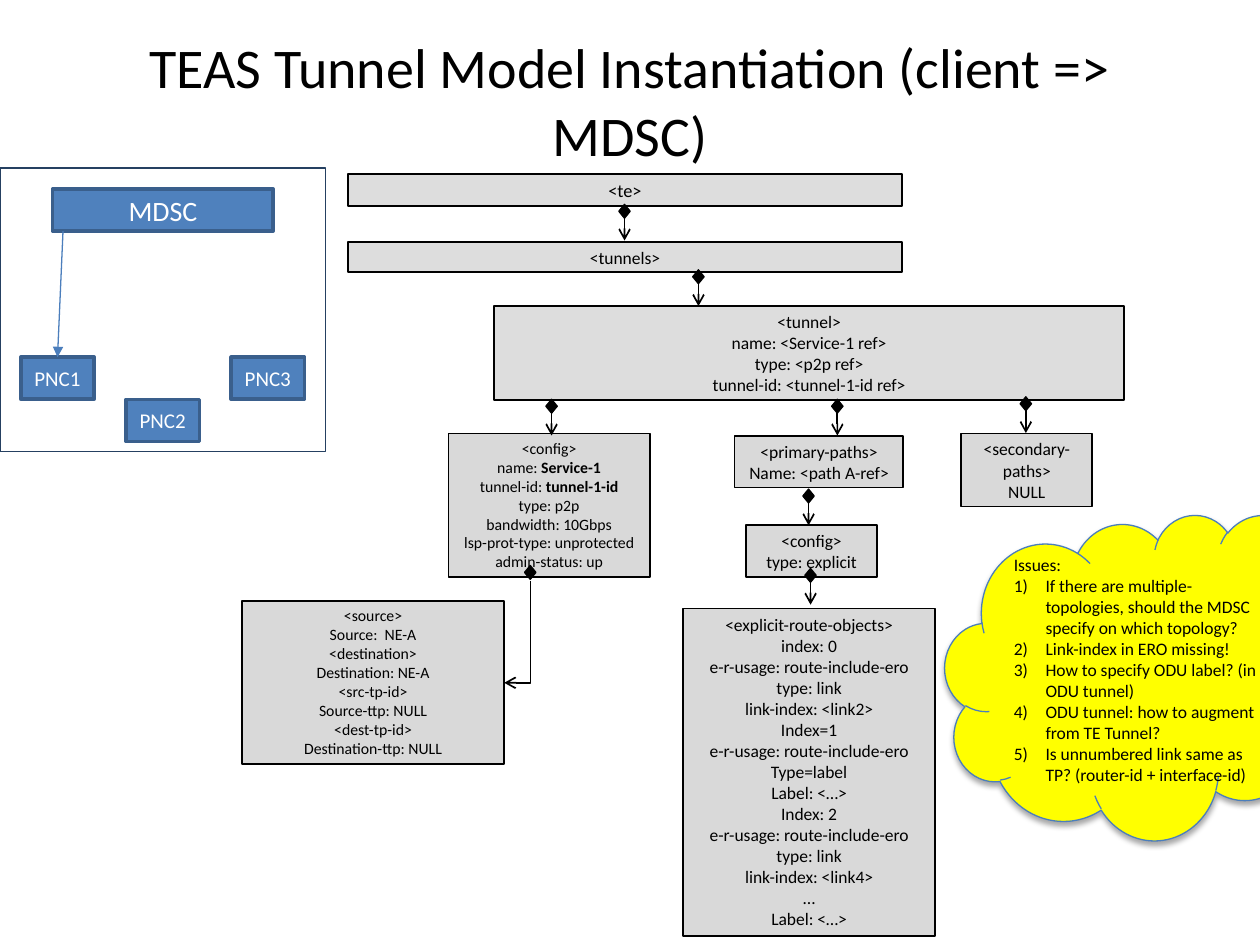
from dataclasses import dataclass

from lxml.etree import SubElement
from pptx import Presentation
from pptx.dml.color import RGBColor
from pptx.enum.shapes import MSO_CONNECTOR as Link, MSO_SHAPE as Preset
from pptx.enum.text import MSO_ANCHOR as Anchor, MSO_AUTO_SIZE as AutoSize, PP_ALIGN as Align
from pptx.oxml.ns import qn
from pptx.util import Cm, Pt

COLORS = {
    "black": "000000", "white": "FFFFFF", "te": "DDDDDD", "detail": "D9D9D9",
    "blue": "4F81BD", "edge": "3A5F8C", "thin": "4B7EBC", "frame": "254061",
    "yellow": "FFFF00",
}
NODE_FORMAT = {
    "margin_left": Cm(0.18), "margin_right": Cm(0.18),
    "margin_top": Cm(0.1), "margin_bottom": Cm(0.1),
    "vertical_anchor": Anchor.TOP, "word_wrap": True,
    "auto_size": AutoSize.SHAPE_TO_FIT_TEXT,
}
CENTERED_FORMAT = {"vertical_anchor": Anchor.MIDDLE, "word_wrap": True}
DIAMOND_WIDTH, DIAMOND_HEIGHT = 0.23, 0.28
ARROW_START, ARROW_END = 0.22, 0.73


@dataclass
class Node:
    left: float
    top: float
    width: float
    height: float
    text: str
    size: float = 10
    fill: str = "detail"


@dataclass
class Composition:
    center: float
    top: float


NODES = [
    Node(7.01, 3.51, 11.18, 0.64, "<te>", 10.5, "te"),
    Node(7.01, 4.88, 11.18, 0.61, "<tunnels>", 10, "te"),
    Node(9.04, 8.74, 4.06, 2.9,
         "<config>\nname: *Service-1*\ntunnel-id: *tunnel-1-id*\ntype: p2p\n"
         "bandwidth: 10Gbps\nlsp-prot-type: unprotected\nadmin-status: up", 9),
    Node(4.88, 12.12, 5.28, 3.28,
         "<source>\nSource:  NE-A\n<destination>\nDestination: NE-A\n<src-tp-id>\n"
         "Source-ttp: NULL\n<dest-tp-id>\nDestination-ttp: NULL", 9),
    Node(9.96, 6.17, 12.7, 1.9,
         "<tunnel>\nname: <Service-1 ref>\ntype: <p2p ref>\n"
         "tunnel-id: <tunnel-1-id ref>", 10, "te"),
    Node(14.81, 8.79, 3.4, 1.04, "<primary-paths>\nName: <path A-ref>"),
    Node(15.04, 10.59, 2.64, 1.04, "<config>\ntype: explicit"),
    Node(13.77, 12.27, 5.08, 6.6,
         "<explicit-route-objects>\nindex: 0\ne-r-usage: route-include-ero\n"
         "type: link\nlink-index: <link2>\nIndex=1\ne-r-usage: route-include-ero\n"
         "Type=label\nLabel: <…>\nIndex: 2\ne-r-usage: route-include-ero\n"
         "type: link\nlink-index: <link4>\n…\nLabel: <…>"),
    Node(19.38, 8.74, 2.64, 1.47, "<secondary-paths>\nNULL"),
]
COMPOSITIONS = [
    Composition(12.59, 4.12), Composition(14.08, 5.44), Composition(11.12, 8.05),
    Composition(16.88, 8.05), Composition(20.68, 8.0), Composition(16.3, 9.86),
    Composition(16.34, 11.46),
]
CONTROLLERS = [
    Node(1.06, 3.81, 4.45, 0.85, "MDSC", 16, "blue"),
    Node(0.42, 7.2, 1.48, 0.85, "PNC1", 12, "blue"),
    Node(2.54, 8.05, 1.48, 0.85, "PNC2", 12, "blue"),
    Node(4.66, 7.2, 1.48, 0.85, "PNC3", 12, "blue"),
]
ISSUES = Node(
    19.05, 10.37, 8.26, 6.56,
    "Issues:\n"
    "If there are multiple-topologies, should the MDSC specify on which topology?\n"
    "Link-index in ERO missing!\n"
    "How to specify ODU label? (in ODU tunnel)\n"
    "ODU tunnel: how to augment from TE Tunnel?\n"
    "Is unnumbered link same as TP? (router-id + interface-id)", 10, "yellow")
TITLE = Node(1.27, 0.43, 22.86, 3.18,
             "TEAS Tunnel Model Instantiation (client => MDSC)", 32)


def rgb(color: str) -> RGBColor:
    return RGBColor.from_string(COLORS[color])


def write(shape, node: Node, frame_format: dict, color: str = "black",
          align: Align = Align.CENTER) -> None:
    frame = shape.text_frame
    for attribute, value in frame_format.items():
        setattr(frame, attribute, value)
    for row, text in enumerate(node.text.split("\n")):
        paragraph = frame.paragraphs[0] if row == 0 else frame.add_paragraph()
        paragraph.alignment = align
        for part, words in enumerate(text.split("*")):
            if words:
                run = paragraph.add_run()
                run.text = words
                font_format = {"name": "Calibri", "size": Pt(node.size), "bold": part % 2 == 1}
                for attribute, value in font_format.items():
                    setattr(run.font, attribute, value)
                run.font.color.rgb = rgb(color)


def draw_shape(slide, node: Node, line: str, weight: float, preset=Preset.RECTANGLE):
    shape = slide.shapes.add_shape(
        preset, Cm(node.left), Cm(node.top), Cm(node.width), Cm(node.height))
    shape.shadow.inherit = False
    if node.fill:
        shape.fill.solid()
        shape.fill.fore_color.rgb = rgb(node.fill)
    else:
        shape.fill.background()
    shape.line.color.rgb = rgb(line)
    shape.line.width = Pt(weight)
    return shape


def draw_arrow(slide, start: tuple[float, float], end: tuple[float, float],
               color: str = "black", weight: float = 1, head: str = "arrow",
               kind=Link.STRAIGHT):
    arrow = slide.shapes.add_connector(kind, *map(Cm, start + end))
    arrow.line.color.rgb = rgb(color)
    arrow.line.width = Pt(weight)
    SubElement(arrow.line._get_or_add_ln(), qn("a:tailEnd"), type=head)
    SubElement(arrow._element.spPr, qn("a:effectLst"))
    return arrow


def draw_diamond(slide, center: float, top: float) -> None:
    diamond = Node(center - DIAMOND_WIDTH / 2, top, DIAMOND_WIDTH, DIAMOND_HEIGHT,
                   "", fill="black")
    draw_shape(slide, diamond, "black", 0.75, Preset.DIAMOND)


def draw_composition(slide, link: Composition) -> None:
    draw_diamond(slide, link.center, link.top)
    draw_arrow(slide, (link.center, link.top + ARROW_START),
               (link.center, link.top + ARROW_END))


def draw_source_link(slide) -> None:
    draw_diamond(slide, 10.69, 11.4)
    elbow = draw_arrow(slide, (9.4, 12.47), (11.46, 13.0), kind=Link.ELBOW)
    properties = elbow._element.spPr
    properties.find(qn("a:xfrm")).set("rot", "5400000")
    properties.find(qn("a:prstGeom")).set("prst", "bentConnector2")


def draw_issues(slide) -> None:
    cloud = draw_shape(slide, ISSUES, "thin", 0.75, Preset.CLOUD)
    write(cloud, ISSUES, CENTERED_FORMAT, align=Align.LEFT)
    shadow = SubElement(cloud._element.spPr.find(qn("a:effectLst")), qn("a:outerShdw"),
                        blurRad=str(Pt(3.1)), dist=str(Pt(1.8)), dir="5400000",
                        rotWithShape="0")
    shade = SubElement(shadow, qn("a:srgbClr"), val=COLORS["black"])
    SubElement(shade, qn("a:alpha"), val="35000")
    indent = Cm(0.64)
    for issue in cloud.text_frame.paragraphs[1:]:
        properties = issue._p.get_or_add_pPr()
        properties.set("marL", str(indent))
        properties.set("indent", str(-indent))
        SubElement(properties, qn("a:buFont"), typeface="+mj-lt")
        SubElement(properties, qn("a:buAutoNum"), type="arabicParenR")


def main() -> None:
    deck = Presentation()
    deck.slide_width, deck.slide_height = Cm(25.4), Cm(19.05)
    slide = deck.slides.add_slide(deck.slide_layouts[6])

    title = slide.shapes.add_textbox(
        Cm(TITLE.left), Cm(TITLE.top), Cm(TITLE.width), Cm(TITLE.height))
    write(title, TITLE, CENTERED_FORMAT)
    for node in NODES:
        write(draw_shape(slide, node, "black", 1), node, NODE_FORMAT)
    for link in COMPOSITIONS:
        draw_composition(slide, link)
    draw_source_link(slide)
    for controller in CONTROLLERS:
        write(draw_shape(slide, controller, "edge", 2), controller, CENTERED_FORMAT, "white")
    draw_arrow(slide, (1.27, 4.66), (1.16, 7.2), "thin", 0.75, "triangle")
    draw_shape(slide, Node(0, 3.39, 6.56, 5.72, "", fill=""), "frame", 0.75)
    draw_issues(slide)
    deck.save("out.pptx")


if __name__ == "__main__":
    main()
